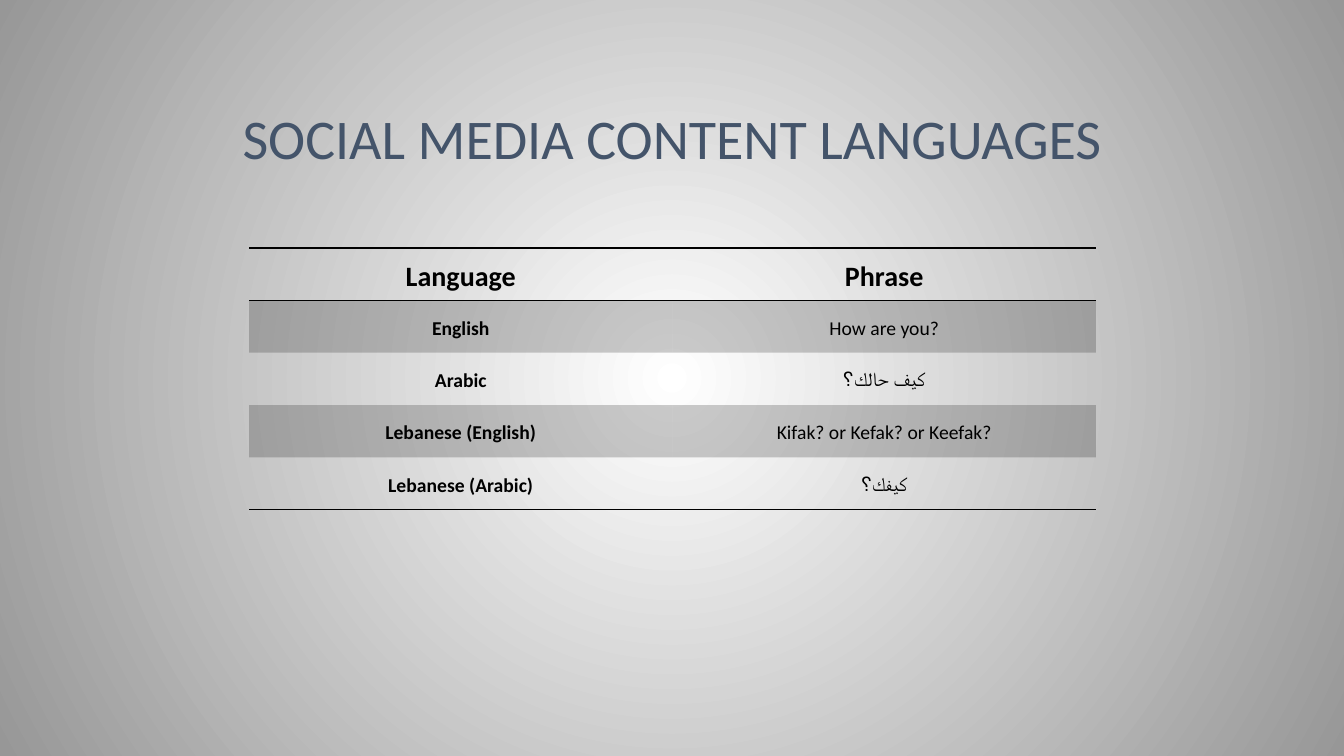
from dataclasses import dataclass

import lxml.etree
import pptx
import pptx.dml.color
import pptx.enum.text
import pptx.oxml
import pptx.oxml.ns
import pptx.util

Inches = pptx.util.Inches
qn = pptx.oxml.ns.qn


@dataclass(frozen=True)
class Theme:
    font: str = "Calibri"
    title_color: str = "44546A"
    ink: str = "000000"
    center: str = "FFFFFF"
    edge: str = "979797"
    band_alpha: int = 20
    title_size: int = 40
    header_size: int = 20
    body_size: int = 14
    rule_width: int = 1
    plain_table: str = "{2D5ABB26-0587-4C30-8999-92F81FD0307C}"


def rgb(color):
    return pptx.dml.color.RGBColor.from_string(color)


def write_text(frame, text, *, font, size, color, bold=False, spacing=1.0, after=0):
    para = frame.paragraphs[0]
    para.alignment = pptx.enum.text.PP_ALIGN.CENTER
    para.line_spacing = spacing
    para.space_before = pptx.util.Pt(0)
    para.space_after = pptx.util.Pt(after)
    span = para.add_run()
    span.text = text
    span.font.name = font
    span.font.size = pptx.util.Pt(size)
    span.font.bold = bold
    span.font.color.rgb = rgb(color)


class SlideBuilder:
    def __init__(self, deck, theme):
        self.theme = theme
        self.page = deck.slides.add_slide(deck.slide_layouts[5])

    def background(self):
        fill = self.page.background.fill
        fill.gradient()
        colors = (self.theme.center, self.theme.edge)
        for position, (stop, color) in enumerate(zip(fill.gradient_stops, colors)):
            stop.color.rgb = rgb(color)
            stop.position = position
        linear = next(self.page.element.iter(qn("a:lin")))
        gradient = linear.getparent()
        gradient.remove(linear)
        circle = lxml.etree.SubElement(gradient, qn("a:path"), {"path": "circle"})
        middle = {side: "50000" for side in "ltrb"}
        lxml.etree.SubElement(circle, qn("a:fillToRect"), middle)

    def title(self, text, left, top, width, height):
        box = self.page.shapes.title
        box.left, box.top = Inches(left), Inches(top)
        box.width, box.height = Inches(width), Inches(height)
        frame = box.text_frame
        frame.word_wrap = True
        frame.auto_size = pptx.enum.text.MSO_AUTO_SIZE.NONE
        frame.vertical_anchor = pptx.enum.text.MSO_ANCHOR.BOTTOM
        write_text(frame, text, font=self.theme.font, size=self.theme.title_size,
                   color=self.theme.title_color, spacing=0.9)

    def table(self, rows, left, top, column_width, row_height):
        columns = len(rows[0])
        graphic = self.page.shapes.add_table(
            len(rows), columns, Inches(left), Inches(top),
            Inches(column_width * columns), Inches(row_height * len(rows)))
        table = graphic.table
        next(graphic.element.iter(qn("a:tableStyleId"))).text = self.theme.plain_table
        table.horz_banding = False
        for column in table.columns:
            column.width = Inches(column_width)
        for row_index, values in enumerate(rows):
            table.rows[row_index].height = Inches(row_height)
            header = row_index == 0
            for column_index, text in enumerate(values):
                cell = table.cell(row_index, column_index)
                cell.vertical_anchor = pptx.enum.text.MSO_ANCHOR.MIDDLE
                cell.margin_left = cell.margin_right = Inches(0.07)
                cell.margin_top = cell.margin_bottom = Inches(0)
                write_text(
                    cell.text_frame, text, font=self.theme.font,
                    size=self.theme.header_size if header else self.theme.body_size,
                    color=self.theme.ink, bold=header or column_index == 0,
                    spacing=1.15, after=6)
                self.shade(cell, banded=row_index % 2 == 1)
                if header or row_index == len(rows) - 1:
                    self.rule(cell, "a:lnB")
                if header:
                    self.rule(cell, "a:lnT")

    def shade(self, cell, banded):
        if not banded:
            cell.fill.background()
            return
        cell.fill.solid()
        cell.fill.fore_color.rgb = rgb(self.theme.ink)
        color = next(cell.fill._xPr.iter(qn("a:srgbClr")))
        opacity = str(self.theme.band_alpha * 1000)
        lxml.etree.SubElement(color, qn("a:alpha"), {"val": opacity})

    def rule(self, cell, side):
        width = pptx.util.Pt(self.theme.rule_width)
        line = pptx.oxml.parse_xml(
            f'<{side} {pptx.oxml.ns.nsdecls("a")} w="{int(width)}"><a:solidFill>'
            f'<a:srgbClr val="{self.theme.ink}"/></a:solidFill></{side}>')
        cell._tc.get_or_add_tcPr().insert(0, line)


def main():
    deck = pptx.Presentation()
    deck.slide_width, deck.slide_height = Inches(13.33), Inches(7.5)
    slide = SlideBuilder(deck, Theme())
    slide.background()
    slide.title("SOCIAL MEDIA CONTENT LANGUAGES", 1.33, 0.3, 10.67, 1.45)
    phrases = [
        ("Language", "Phrase"),
        ("English", "How are you?"),
        ("Arabic", "كيف حالك؟"),
        ("Lebanese (English)", "Kifak? or Kefak? or Keefak?"),
        ("Lebanese (Arabic)", "كيفك؟"),
    ]
    slide.table(phrases, left=2.47, top=2.46, column_width=4.2, row_height=0.52)
    deck.save("out.pptx")


if __name__ == "__main__":
    main()
